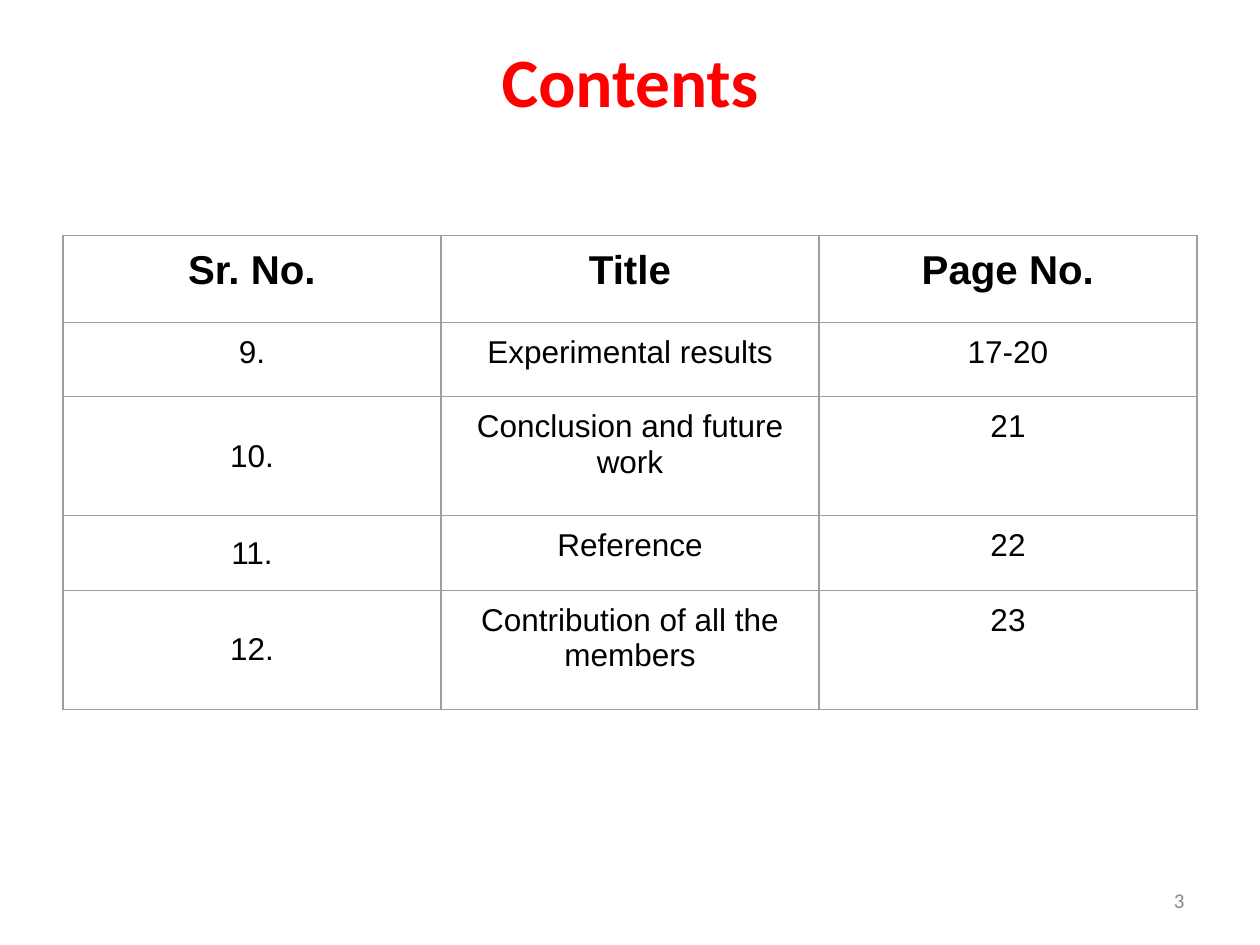
import pptx
import pptx.dml.color
import pptx.enum.text
import pptx.oxml.ns
import pptx.util
from lxml import etree

Cm = pptx.util.Cm
Pt = pptx.util.Pt
RGBColor = pptx.dml.color.RGBColor
Align = pptx.enum.text.PP_ALIGN
Anchor = pptx.enum.text.MSO_ANCHOR
qn = pptx.oxml.ns.qn

RED = RGBColor(0xFF, 0x00, 0x00)
BLACK = RGBColor(0x00, 0x00, 0x00)
GREY = RGBColor(0x88, 0x88, 0x88)
BORDER = RGBColor(0x9E, 0x9E, 0x9E)

CONTENTS = [
    ("Sr. No.", "Title", "Page No."),
    ("9.", "Experimental results", "17-20"),
    ("10.", "Conclusion and future work", "21"),
    ("11.", "Reference", "22"),
    ("12.", "Contribution of all the members", "23"),
]
ROW_HEIGHTS = [1.75, 1.5, 2.4, 1.5, 2.4]
COLUMN_WIDTH = 7.62


class ContentsSlide:
    heading_font = "Calibri"
    body_font = "Arial"
    cell_margin = Cm(0.25)

    def __init__(self, deck):
        self.slide = deck.slides.add_slide(deck.slide_layouts[5])

    def add_text(self, frame, text, font, size, color, align, bold=False):
        paragraph = frame.paragraphs[0]
        paragraph.alignment = align
        run = paragraph.add_run()
        run.text = text
        run.font.name = font
        run.font.size = Pt(size)
        run.font.bold = bold
        run.font.color.rgb = color

    def title(self, text, left, top, width, height):
        heading = self.slide.shapes.title
        heading.left, heading.top = Cm(left), Cm(top)
        heading.width, heading.height = Cm(width), Cm(height)
        frame = heading.text_frame
        frame.vertical_anchor = Anchor.TOP
        frame.margin_top = 0
        self.add_text(frame, text, self.heading_font, 39.6, RED, Align.CENTER, True)

    def page_number(self, text, left, top, width, height):
        box = self.slide.shapes.add_textbox(Cm(left), Cm(top), Cm(width), Cm(height))
        frame = box.text_frame
        frame.word_wrap = True
        frame.vertical_anchor = Anchor.MIDDLE
        self.add_text(frame, text, self.heading_font, 12, GREY, Align.RIGHT)

    def table(self, rows, left, top, column_width, row_heights):
        columns = len(rows[0])
        grid = self.slide.shapes.add_table(
            len(rows), columns, Cm(left), Cm(top),
            Cm(column_width * columns), Cm(sum(row_heights))).table
        grid.first_row = grid.horz_banding = False
        for column in grid.columns:
            column.width = Cm(column_width)
        for r, (texts, height) in enumerate(zip(rows, row_heights)):
            grid.rows[r].height = Cm(height)
            for c, text in enumerate(texts):
                # Serial numbers from the second entry on sit mid-row
                centred = c == 0 and r >= 2
                self.cell(grid.cell(r, c), text, r == 0, centred)

    def cell(self, cell, text, header, centred):
        cell.margin_left = cell.margin_right = self.cell_margin
        cell.margin_top = cell.margin_bottom = self.cell_margin
        cell.vertical_anchor = Anchor.MIDDLE if centred else Anchor.TOP
        self.borders(cell)
        cell.fill.background()
        self.add_text(cell.text_frame, text, self.body_font, 23 if header else 18,
                      BLACK, Align.CENTER, header)

    def borders(self, cell):
        properties = cell._tc.get_or_add_tcPr()
        for side in ("a:lnL", "a:lnR", "a:lnT", "a:lnB"):
            line = etree.SubElement(properties, qn(side), w=str(Pt(0.75)))
            fill = etree.SubElement(line, qn("a:solidFill"))
            etree.SubElement(fill, qn("a:srgbClr"), val=str(BORDER))


def main():
    deck = pptx.Presentation()
    deck.slide_width, deck.slide_height = Cm(25.4), Cm(19.05)
    page = ContentsSlide(deck)

    # Heading
    page.title("Contents", 1.27, 0.76, 22.86, 3.18)

    # Table of contents
    page.table(CONTENTS, 1.27, 4.75, COLUMN_WIDTH, ROW_HEIGHTS)

    # Footer
    page.page_number("3", 18.2, 17.65, 5.93, 1.01)

    deck.save("out.pptx")


if __name__ == "__main__":
    main()
